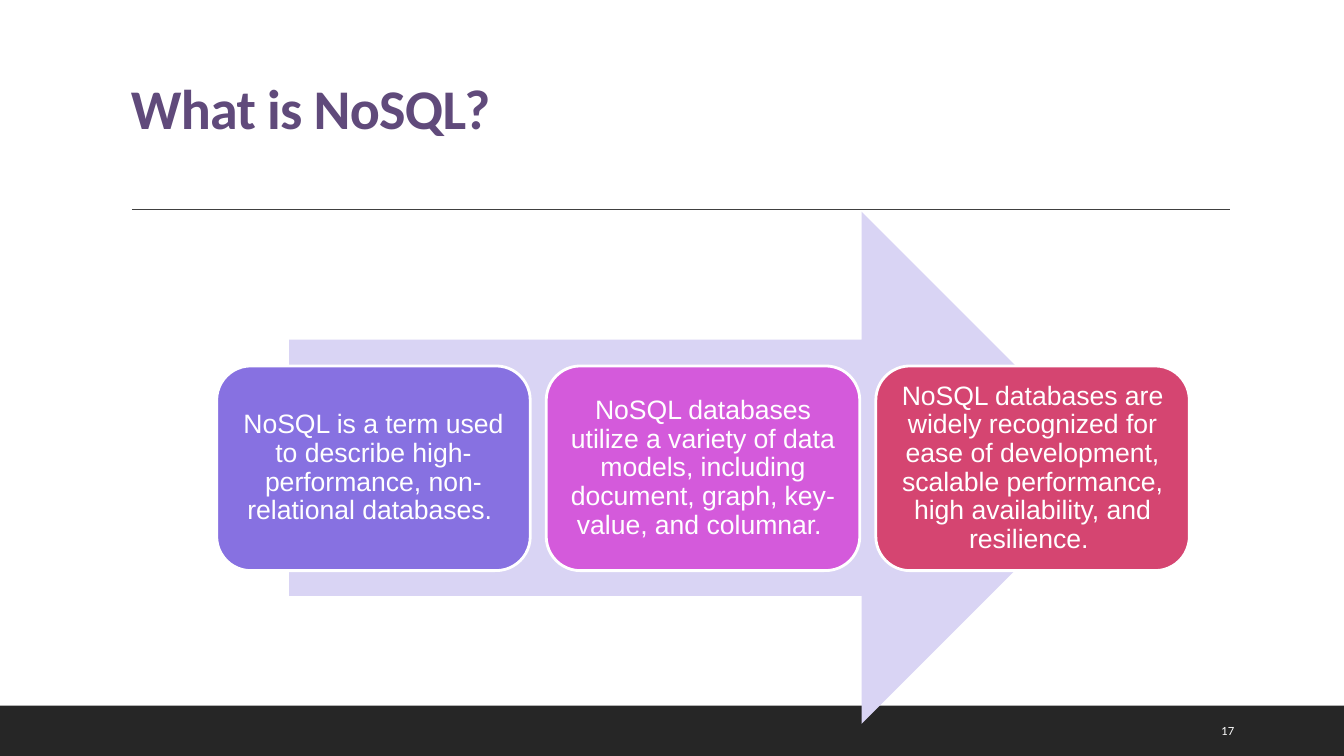
from lxml import etree
from pptx import Presentation
from pptx.dml.color import RGBColor
from pptx.enum.shapes import MSO_CONNECTOR, MSO_SHAPE
from pptx.enum.text import MSO_ANCHOR, PP_ALIGN
from pptx.oxml.ns import qn
from pptx.util import Pt

RECT = MSO_SHAPE.RECTANGLE
ARROW = MSO_SHAPE.RIGHT_ARROW
ROUNDED = MSO_SHAPE.ROUNDED_RECTANGLE
STRAIGHT = MSO_CONNECTOR.STRAIGHT
MIDDLE = MSO_ANCHOR.MIDDLE
LEFT, CENTER = PP_ALIGN.LEFT, PP_ALIGN.CENTER

COLORS = {
    "footer": "262626",
    "rule": "404040",
    "title": "604A7B",
    "white": "FFFFFF",
    "arrow": "D9D4F4",
    "violet": "8771E1",
    "magenta": "D45ADB",
    "rose": "D54571",
}

CARDS = [
    ("violet", "NoSQL is a term used to describe high-performance, "
               "non-relational databases. "),
    ("magenta", "NoSQL databases utilize a variety of data models, including "
                "document, graph, key-value, and columnar. "),
    ("rose", "NoSQL databases are widely recognized for ease of development, "
             "scalable performance, high availability, and resilience. "),
]
CARD_LEFT, CARD_TOP, CARD_W, CARD_H = 154.8, 261.4, 224, 146.2
CARD_STEP = 235.4


def add_filled(kind, left, top, width, height, color):
    sp = slide.shapes.add_shape(kind, Pt(left), Pt(top), Pt(width), Pt(height))
    sp.shadow.inherit = False
    sp.fill.solid()
    sp.fill.fore_color.rgb = RGBColor.from_string(COLORS[color])
    sp.line.fill.background()
    return sp


def write(sp, text, font, size, color, align=LEFT, spacing=1.0):
    """Put one vertically centred paragraph into a shape and return it."""
    tf = sp.text_frame
    tf.word_wrap = True
    tf.vertical_anchor = MIDDLE
    p = tf.paragraphs[0]
    p.text = text
    p.alignment = align
    p.line_spacing = spacing
    p.font.name = font
    p.font.size = Pt(size)
    p.font.color.rgb = RGBColor.from_string(COLORS[color])
    return p


prs = Presentation()
prs.slide_width, prs.slide_height = Pt(960), Pt(540)
slide = prs.slides.add_slide(prs.slide_layouts[6])

# Footer band and title rule
add_filled(RECT, 0, 504, 960, 36, "footer")
rule = slide.shapes.add_connector(STRAIGHT, Pt(94.3), Pt(149.5), Pt(878.8), Pt(149.5))
rule.line.color.rgb = RGBColor.from_string(COLORS["rule"])
rule.line.width = Pt(1)
etree.SubElement(rule._element.spPr, qn("a:effectLst"))

# Title and slide number
title = slide.shapes.add_textbox(Pt(86.4), Pt(22.3), Pt(792), Pt(114.5))
p = write(title, "What is NoSQL?", "Calibri", 40, "title", spacing=0.9)
p.font.bold = True
p.runs[0].font._element.set("spc", "-50")

number = slide.shapes.add_textbox(Pt(865.4), Pt(507.6), Pt(61.2), Pt(28.8))
write(number, "17", "Lato", 8, "white")

# Arrow behind the three cards
add_filled(ARROW, 206.6, 151.2, 591.8, 365.8, "arrow")
for i, (color, text) in enumerate(CARDS):
    card = add_filled(ROUNDED, CARD_LEFT + i * CARD_STEP, CARD_TOP, CARD_W, CARD_H, color)
    card.adjustments[0] = 0.167
    card.line.color.rgb = RGBColor.from_string(COLORS["white"])
    card.line.width = Pt(2)
    tf = card.text_frame
    tf.margin_left = tf.margin_right = tf.margin_top = tf.margin_bottom = Pt(5.7)
    write(card, text, "Arial", 19, "white", CENTER, 0.9)

prs.save("out.pptx")
